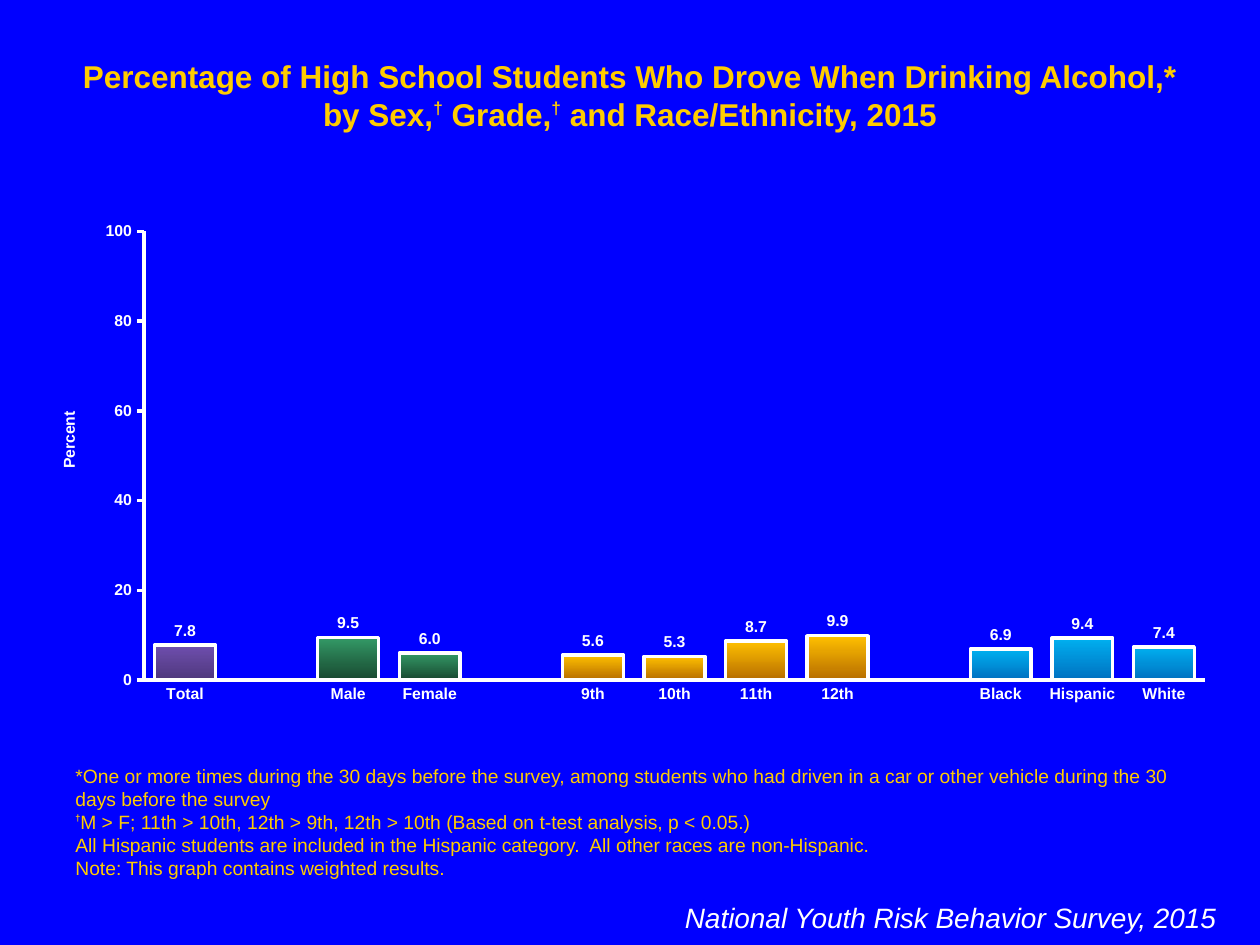
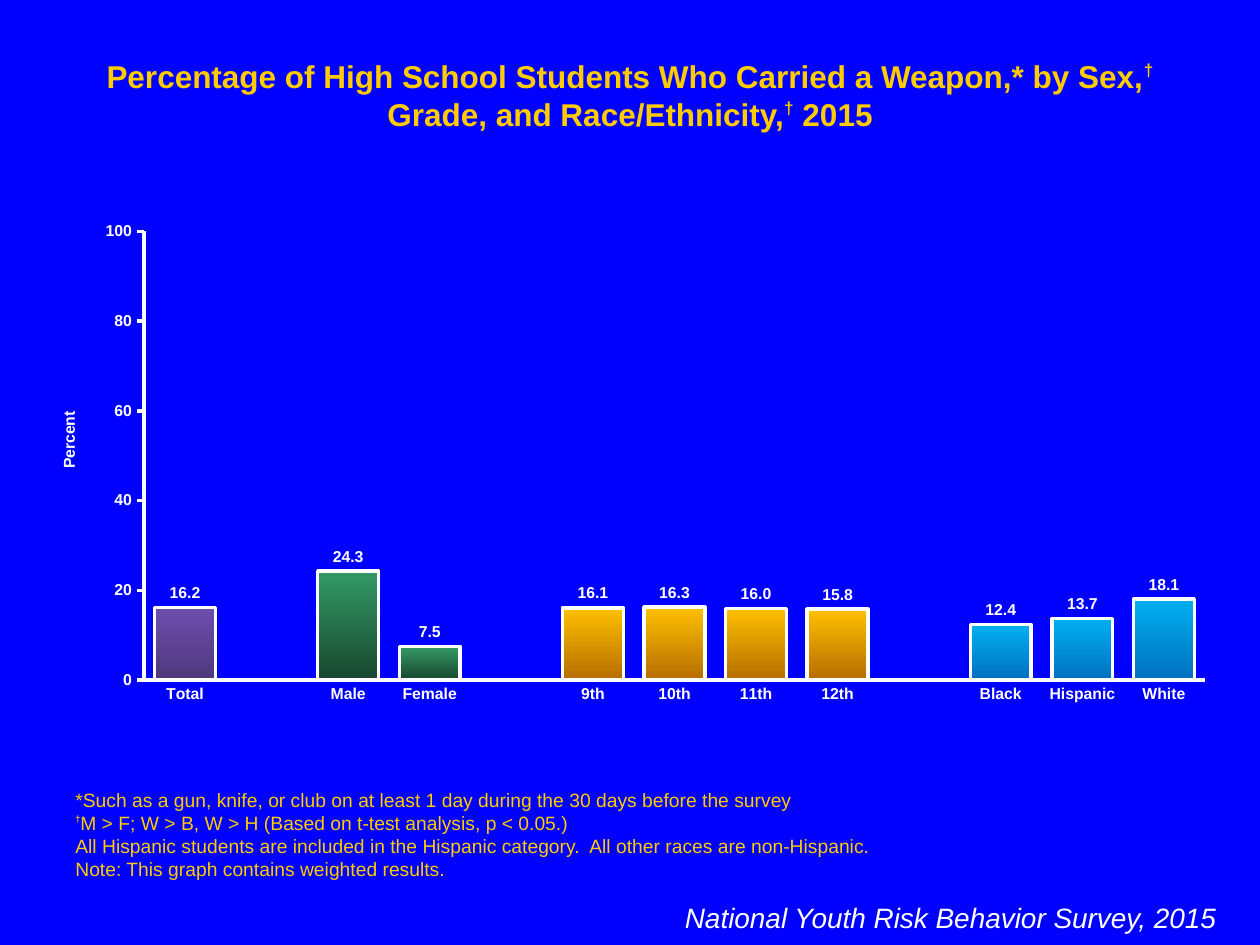
import itertools
from dataclasses import dataclass

import pptx
import pptx.chart.axis
import pptx.chart.chart
import pptx.chart.data
import pptx.dml.color
import pptx.dml.fill
import pptx.enum.chart
import pptx.enum.text
import pptx.oxml
import pptx.oxml.ns
import pptx.slide
import pptx.text.text
import pptx.util
from pptx.util import Cm

FONT = "Arial"
BLUE = "0000FF"
GOLD = "FFCC00"
WHITE = "FFFFFF"
SERIES_GREEN = "26CA59"
DAGGER = "†"
LINE_WIDTH = 2
LABEL_SIZE = 9

ALIGN = pptx.enum.text.PP_ALIGN
ANCHOR = pptx.enum.text.MSO_ANCHOR


@dataclass(frozen=True)
class TextStyle:
    size: float
    color: str
    bold: bool = False
    italic: bool = False
    align: ALIGN = ALIGN.LEFT
    anchor: ANCHOR = ANCHOR.TOP
    dagger_size: float = 0
    dagger_baseline: int = 0


@dataclass(frozen=True)
class Box:
    left: float
    top: float
    width: float
    height: float

    def lengths(self) -> tuple[Cm, Cm, Cm, Cm]:
        return Cm(self.left), Cm(self.top), Cm(self.width), Cm(self.height)


@dataclass(frozen=True)
class BarGroup:
    categories: tuple[str, ...]
    top_color: str
    bottom_color: str


@dataclass(frozen=True)
class SurveySlide:
    title: str
    footnotes: tuple[str, ...]
    footnote_box: Box
    values: tuple[tuple[float, ...], ...]


TITLE_STYLE = TextStyle(18, GOLD, bold=True, align=ALIGN.CENTER, dagger_size=17, dagger_baseline=40)
FOOTNOTE_STYLE = TextStyle(11, GOLD, anchor=ANCHOR.BOTTOM, dagger_size=9, dagger_baseline=50)
FOOTER_STYLE = TextStyle(16, WHITE, italic=True, align=ALIGN.RIGHT)

TITLE_BOX = Box(1.27, 1.02, 22.86, 1.02)
FOOTER_BOX = Box(10.8, 18.03, 13.97, 1.63)
CHART_BOX = Box(0.64, 4.29, 24.13, 10.11)

FOOTER = "National Youth Risk Behavior Survey, 2015"
COMMON_FOOTNOTES = (
    "All Hispanic students are included in the Hispanic category.  All other races are non-Hispanic.",
    "Note: This graph contains weighted results.",
)

GROUPS = (
    BarGroup(("Total",), "6E4EAE", "4F387C"),
    BarGroup(("Male", "Female"), "339966", "18472F"),
    BarGroup(("9th", "10th", "11th", "12th"), "FFC000", "B66D00"),
    BarGroup(("Black", "Hispanic", "White"), "00B0F0", "0070C0"),
)

SURVEY_SLIDES = (
    SurveySlide(
        "Percentage of High School Students Who Drove When Drinking Alcohol,* "
        "by Sex,† Grade,† and Race/Ethnicity, 2015",
        (
            "*One or more times during the 30 days before the survey, among students who "
            "had driven in a car or other vehicle during the 30 days before the survey",
            "†M > F; 11th > 10th, 12th > 9th, 12th > 10th (Based on t-test analysis, p < 0.05.)",
        ),
        Box(1.27, 15.24, 22.86, 2.62),
        ((7.8,), (9.5, 6.0), (5.6, 5.3, 8.7, 9.9), (6.9, 9.4, 7.4)),
    ),
    SurveySlide(
        "Percentage of High School Students Who Carried a Weapon,* by Sex,† "
        "Grade, and Race/Ethnicity,† 2015",
        (
            "*Such as a gun, knife, or club on at least 1 day during the 30 days before the survey",
            "†M > F; W > B, W > H (Based on t-test analysis, p < 0.05.)",
        ),
        Box(1.27, 17.14, 22.86, 0.74),
        ((16.2,), (24.3, 7.5), (16.1, 16.3, 16.0, 15.8), (12.4, 13.7, 18.1)),
    ),
)


def rgb(color: str) -> pptx.dml.color.RGBColor:
    return pptx.dml.color.RGBColor.from_string(color)


def fill_solid(fill: pptx.dml.fill.FillFormat, color: str) -> None:
    fill.solid()
    fill.fore_color.rgb = rgb(color)


def set_font(font: pptx.text.text.Font, style: TextStyle) -> None:
    font.name = FONT
    font.size = pptx.util.Pt(style.size)
    font.bold = style.bold
    font.italic = style.italic
    font.color.rgb = rgb(style.color)


def add_text(slide: pptx.slide.Slide, box: Box, lines: tuple[str, ...], style: TextStyle) -> None:
    text_frame = slide.shapes.add_textbox(*box.lengths()).text_frame
    text_frame.word_wrap = True
    text_frame.auto_size = pptx.enum.text.MSO_AUTO_SIZE.SHAPE_TO_FIT_TEXT
    text_frame.vertical_anchor = style.anchor
    text_frame.text = "\n".join(lines)
    for paragraph, line in zip(text_frame.paragraphs, lines):
        paragraph.clear()
        paragraph.alignment = style.align
        for is_dagger, letters in itertools.groupby(line, lambda letter: letter == DAGGER):
            run = paragraph.add_run()
            run.text = "".join(letters)
            set_font(run.font, style)
            if is_dagger:
                run.font.size = pptx.util.Pt(style.dagger_size)
                run.font.bold = True
                run._r.get_or_add_rPr().set("baseline", str(style.dagger_baseline * 1000))


def layout_element(**settings: str | float):
    children = "".join(f'<c:{name} val="{value}"/>' for name, value in settings.items())
    namespace = pptx.oxml.ns.nsdecls("c")
    return pptx.oxml.parse_xml(
        f"<c:layout {namespace}><c:manualLayout>{children}</c:manualLayout></c:layout>"
    )


def place_plot(chart: pptx.chart.chart.Chart) -> None:
    plot_area = chart.plots[0]._element.getparent()
    for layout in plot_area.findall(pptx.oxml.ns.qn("c:layout")):
        plot_area.remove(layout)
    plot_area.insert(
        0,
        layout_element(
            layoutTarget="inner", xMode="edge", yMode="edge", x=0.094, y=0.037, w=0.886, h=0.895
        ),
    )


def add_axis_title(axis: pptx.chart.axis.ValueAxis, text: str) -> None:
    title = axis.axis_title
    title.text_frame.text = text
    set_font(title.text_frame.paragraphs[0].runs[0].font, TextStyle(LABEL_SIZE, WHITE, bold=True))
    element = title._element
    for layout in element.findall(pptx.oxml.ns.qn("c:layout")):
        element.remove(layout)
    element.find(pptx.oxml.ns.qn("c:tx")).addnext(
        layout_element(xMode="edge", yMode="edge", x=0.02, y=0.39)
    )


def format_axes(chart: pptx.chart.chart.Chart) -> None:
    tick_mark = pptx.enum.chart.XL_TICK_MARK
    for axis, mark in ((chart.category_axis, tick_mark.NONE), (chart.value_axis, tick_mark.OUTSIDE)):
        axis.has_major_gridlines = False
        axis.major_tick_mark = mark
        axis.minor_tick_mark = tick_mark.NONE
        axis.format.line.width = pptx.util.Pt(LINE_WIDTH)
        fill_solid(axis.format.line.fill, WHITE)
        set_font(axis.tick_labels.font, TextStyle(LABEL_SIZE, WHITE, bold=True))
    value_axis = chart.value_axis
    value_axis.minimum_scale = 0
    value_axis.maximum_scale = 100
    value_axis.major_unit = 20
    add_axis_title(value_axis, "Percent")


def format_bars(chart: pptx.chart.chart.Chart) -> None:
    plot = chart.plots[0]
    plot.gap_width = 34
    plot.overlap = 100
    plot.vary_by_categories = False
    plot.has_data_labels = True
    labels = plot.data_labels
    labels.show_value = True
    labels.number_format = "#,##0.0"
    labels.number_format_is_linked = False
    labels.position = pptx.enum.chart.XL_LABEL_POSITION.OUTSIDE_END
    set_font(labels.font, TextStyle(LABEL_SIZE, WHITE, bold=True))

    series = plot.series[0]
    fill_solid(series.format.fill, SERIES_GREEN)
    position = 0
    for group in GROUPS:
        for index in range(position, position + len(group.categories)):
            bar = series.points[index].format
            bar.fill.gradient()
            bar.fill.gradient_angle = 270
            for stop, color in zip(bar.fill.gradient_stops, (group.top_color, group.bottom_color)):
                stop.color.rgb = rgb(color)
            bar.line.width = pptx.util.Pt(LINE_WIDTH)
            fill_solid(bar.line.fill, WHITE)
        position += len(group.categories) + 1


def add_bar_chart(slide: pptx.slide.Slide, values: tuple[tuple[float, ...], ...]) -> None:
    categories: list[str] = []
    bar_values: list[float | None] = []
    for group, group_values in zip(GROUPS, values):
        if categories:
            categories.append("")
            bar_values.append(None)
        categories.extend(group.categories)
        bar_values.extend(group_values)
    chart_data = pptx.chart.data.CategoryChartData()
    chart_data.categories = categories
    chart_data.add_series("Series 1", bar_values)
    chart = slide.shapes.add_chart(
        pptx.enum.chart.XL_CHART_TYPE.COLUMN_CLUSTERED, *CHART_BOX.lengths(), chart_data
    ).chart
    set_font(chart.font, TextStyle(18, WHITE))
    chart.has_legend = False
    chart.has_title = False
    format_axes(chart)
    format_bars(chart)
    place_plot(chart)


def main() -> None:
    presentation = pptx.Presentation()
    presentation.slide_width = Cm(25.4)
    presentation.slide_height = Cm(19.05)
    fill_solid(presentation.slide_master.background.fill, BLUE)
    for survey in SURVEY_SLIDES:
        slide = presentation.slides.add_slide(presentation.slide_layouts[6])
        add_text(slide, TITLE_BOX, (survey.title,), TITLE_STYLE)
        add_text(slide, survey.footnote_box, survey.footnotes + COMMON_FOOTNOTES, FOOTNOTE_STYLE)
        add_text(slide, FOOTER_BOX, (FOOTER,), FOOTER_STYLE)
        add_bar_chart(slide, survey.values)
    presentation.save("out.pptx")


if __name__ == "__main__":
    main()
